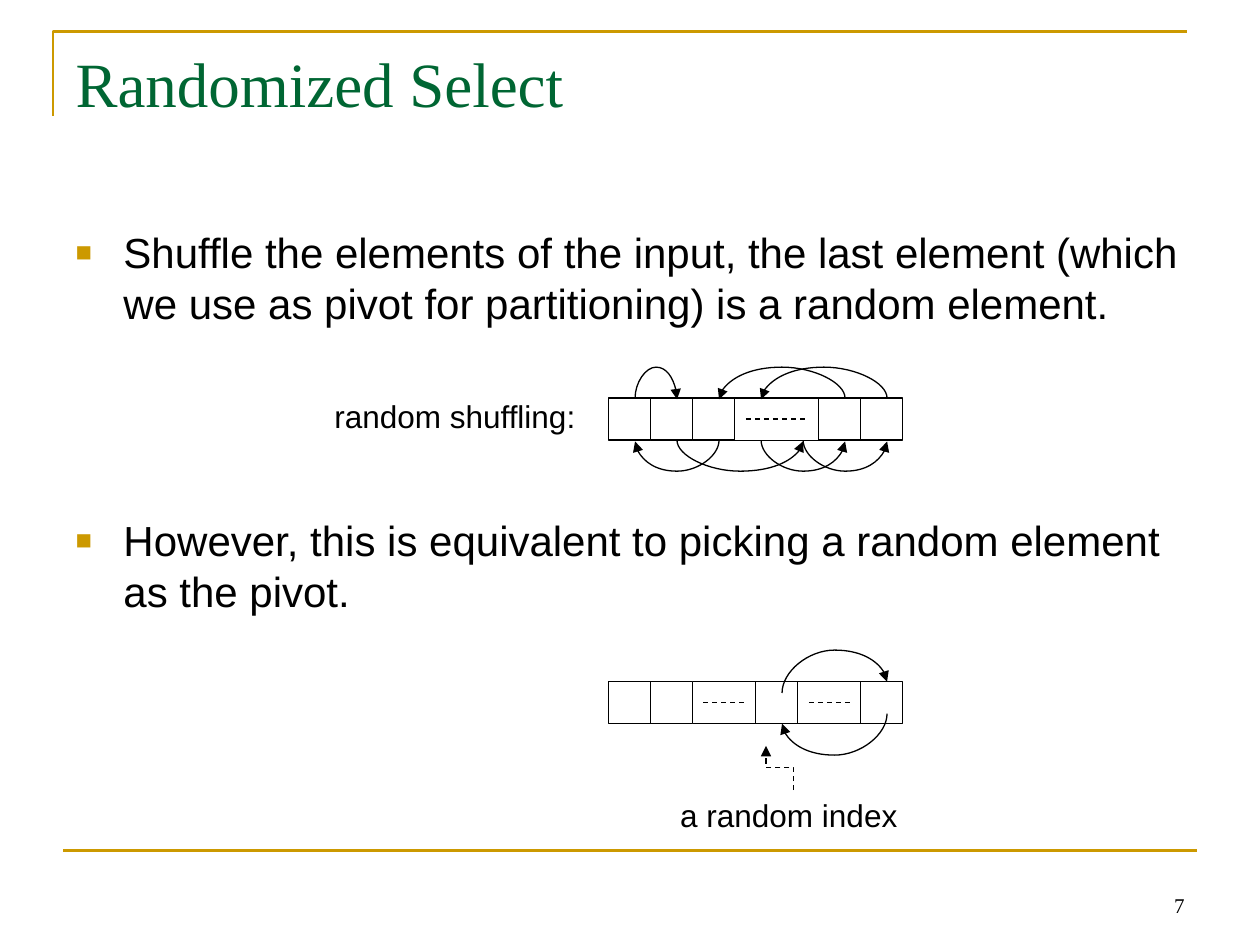
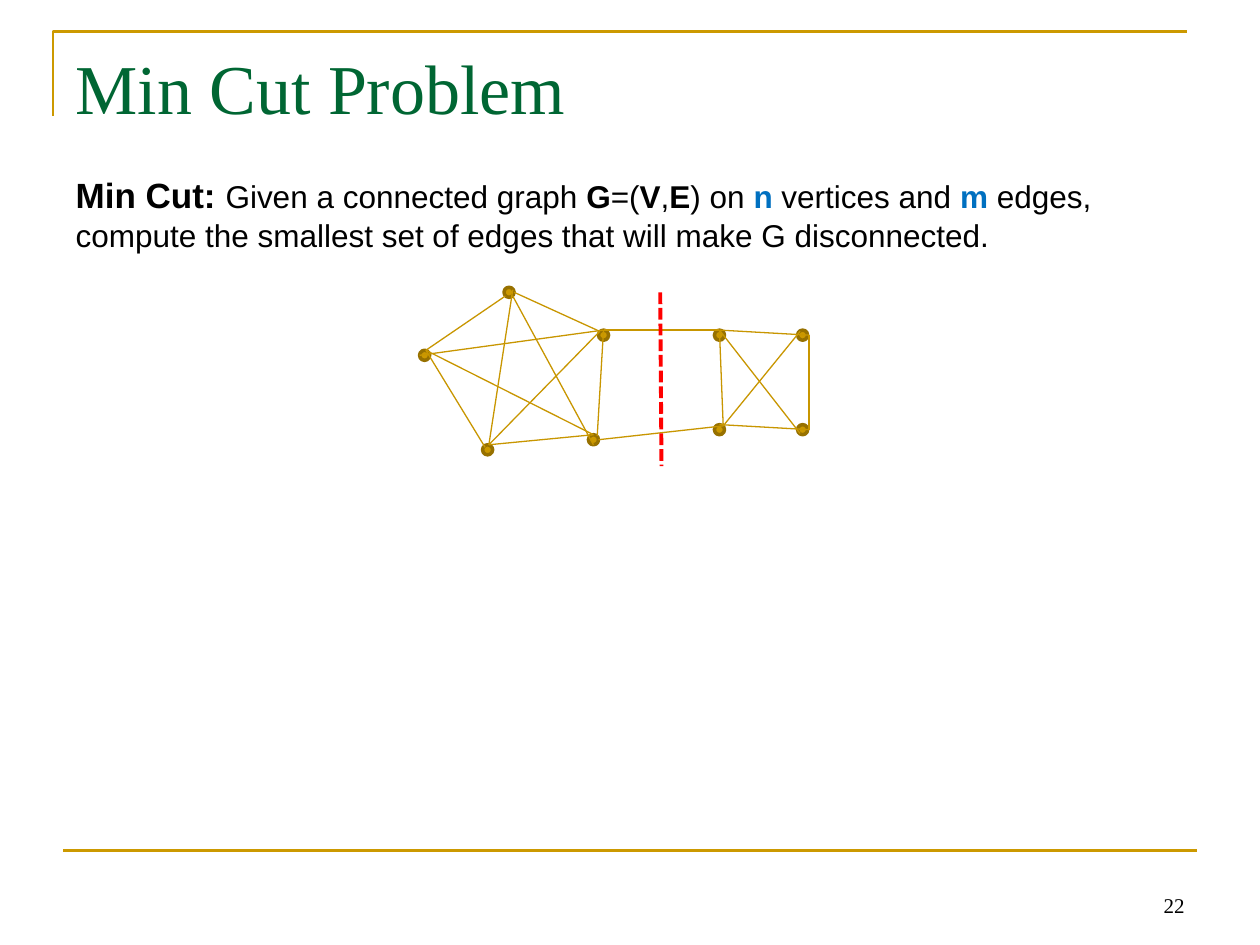
from pptx import Presentation
from pptx.dml.color import RGBColor
from pptx.enum.dml import MSO_LINE
from pptx.enum.shapes import MSO_CONNECTOR, MSO_SHAPE
from pptx.enum.text import MSO_ANCHOR, MSO_AUTO_SIZE, PP_ALIGN
from pptx.oxml.ns import qn
from pptx.oxml.xmlchemy import OxmlElement
from pptx.util import Inches, Pt

COLORS = {
    "gold": "CC9900",
    "green": "006633",
    "black": "000000",
    "blue": "0070C0",
    "edge": "C89600",
    "vertex_rim": "977100",
    "cut": "FF0000",
}
SANS, SERIF = "Arial", "Times New Roman"

CELL = 1 / 3
ARRAY_LEFT = 4.83
ARROW_INSET = 0.21
ARC_DEPTH = 0.25
VERTEX_SIZE = 0.08

VERTICES = [
    (4, 2.28), (3.33, 2.78), (3.83, 3.53), (4.67, 3.45), (4.75, 2.62),
    (5.67, 2.62), (5.67, 3.37), (6.33, 3.37), (6.33, 2.62),
]
PENTAGON_EDGES = [
    ((4.01, 2.35), (3.38, 2.78)), ((4.79, 2.62), (4.74, 3.46)),
    ((3.88, 3.53), (4.07, 2.3)), ((4.08, 2.32), (4.76, 2.63)),
    ((3.38, 2.78), (3.85, 3.55)), ((3.88, 3.53), (4.71, 3.45)),
    ((4.07, 2.35), (4.71, 3.53)), ((4.76, 2.63), (3.88, 3.53)),
    ((3.33, 2.82), (4.79, 2.62)), ((3.38, 2.78), (4.71, 3.45)),
]
SQUARE_EDGES = [
    ((5.71, 2.62), (6.42, 2.66)), ((6.42, 2.66), (6.42, 3.41)),
    ((5.71, 2.62), (5.74, 3.38)), ((5.71, 3.37), (6.42, 3.41)),
    ((5.74, 3.38), (6.35, 2.63)), ((5.71, 2.62), (6.35, 3.44)),
]
CUT_EDGES = [((4.79, 2.62), (5.71, 2.62)), ((4.75, 3.49), (5.74, 3.38))]


def color(name):
    return RGBColor.from_string(COLORS[name])


def add_child(parent, tag, **attributes):
    child = OxmlElement(tag)
    for name, value in attributes.items():
        child.set(name, str(value))
    parent.append(child)
    return child


def style_line(shape, line_color, width, dash=None):
    shape.line.color.rgb = color(line_color)
    shape.line.width = Pt(width)
    if dash:
        shape.line.dash_style = dash


def add_line(slide, start, end, line_color="black", width=0.75, dash=None,
             kind=MSO_CONNECTOR.STRAIGHT):
    points = [Inches(value) for value in (*start, *end)]
    connector = slide.shapes.add_connector(kind, *points)
    style_line(connector, line_color, width, dash)
    add_child(connector._element.spPr, "a:effectLst")
    return connector


def add_routed_arrow(slide, start, end, turn_y, kind=MSO_CONNECTOR.CURVE, dash=None):
    """Arrow that leaves vertically, crosses over at height turn_y and arrives vertically."""
    (x1, y1), (x2, y2) = start, end
    middle_x, middle_y = (x1 + x2) / 2, (y1 + y2) / 2
    # The preset runs sideways, so its box is laid out turned by a quarter.
    half_width, half_height = abs(y2 - y1) / 2, abs(x2 - x1) / 2
    arrow = add_line(
        slide,
        (middle_x - half_width, middle_y - half_height),
        (middle_x + half_width, middle_y + half_height),
        dash=dash, kind=kind,
    )
    properties = arrow._element.spPr
    rightward, downward = x2 > x1, y2 > y1
    frame = properties.find(qn("a:xfrm"))
    frame.set("rot", str((270 if rightward else 90) * 60000))
    if rightward == downward:
        frame.set("flipH", "1")
    guides = properties.find(qn("a:prstGeom")).get_or_add_avLst()
    turn = round((turn_y - y1) / (y2 - y1) * 100000)
    add_child(guides, "a:gd", name="adj1", fmla=f"val {turn}")
    add_child(arrow.line._get_or_add_ln(), "a:tailEnd", type="triangle")


def add_shape(slide, preset, left, top, size, line_color, width, fill=None):
    shape = slide.shapes.add_shape(
        preset, Inches(left), Inches(top), Inches(size), Inches(size))
    shape.shadow.inherit = False
    if fill:
        shape.fill.solid()
        shape.fill.fore_color.rgb = color(fill)
    else:
        shape.fill.background()
    style_line(shape, line_color, width)


def add_run(paragraph, text, size, font=SANS, text_color="black", bold=False):
    run = paragraph.add_run()
    run.text = text
    run.font.size = Pt(size)
    run.font.name = font
    run.font.bold = bold
    run.font.color.rgb = color(text_color)


def add_text(slide, box, text, size, font=SANS, align=PP_ALIGN.CENTER,
             anchor=MSO_ANCHOR.TOP, wrap=False):
    frame = slide.shapes.add_textbox(*map(Inches, box)).text_frame
    frame.word_wrap = wrap
    frame.vertical_anchor = anchor
    frame.paragraphs[0].alignment = align
    add_run(frame.paragraphs[0], text, size, font)


def place(placeholder, left, top, width, height):
    placeholder.left, placeholder.top = Inches(left), Inches(top)
    placeholder.width, placeholder.height = Inches(width), Inches(height)
    frame = placeholder.text_frame
    frame.vertical_anchor = MSO_ANCHOR.TOP
    frame.auto_size = MSO_AUTO_SIZE.NONE
    return frame


def format_list_paragraph(paragraph, indent, bullet=None):
    properties = paragraph._p.get_or_add_pPr()
    properties.set("marL", str(Inches(indent)))
    properties.set("indent", str(-Inches(indent)))
    if bullet:
        bullet_color = add_child(properties, "a:buClr")
        add_child(bullet_color, "a:srgbClr", val=COLORS["gold"])
        add_child(properties, "a:buSzPct", val=65000)
        add_child(properties, "a:buFont", typeface=SANS)
        add_child(properties, "a:buChar", char=bullet)
    else:
        add_child(properties, "a:buNone")


def add_framed_slide(presentation, title, title_size, number):
    """Slide with the corner rule, footer rule, title and page number."""
    slide = presentation.slides.add_slide(presentation.slide_layouts[1])
    builder = slide.shapes.build_freeform(Inches(0.42), Inches(0.92))
    builder.add_line_segments(
        [(Inches(0.42), Inches(0.25)), (Inches(9.42), Inches(0.25))], close=False)
    corner = builder.convert_to_shape()
    corner.shadow.inherit = False
    corner.fill.background()
    style_line(corner, "gold", 1.5)
    add_line(slide, (0.5, 6.75), (9.5, 6.75), "gold", 1.5)

    paragraph = place(slide.shapes.title, 0.5, 0.3, 9, 1.25).paragraphs[0]
    paragraph.alignment = PP_ALIGN.LEFT
    add_run(paragraph, title, title_size, SERIF, "green")
    add_text(slide, (7.17, 6.83, 2.33, 0.5), number, 12, SERIF,
             PP_ALIGN.RIGHT, MSO_ANCHOR.BOTTOM, wrap=True)
    return slide


def add_array(slide, top, cells, gaps):
    """Row of cells at the given indexes, with dashes for the elided stretches."""
    for index in cells:
        add_shape(slide, MSO_SHAPE.RECTANGLE, ARRAY_LEFT + index * CELL, top, CELL,
                  "black", 0.75)
    for y in (top, top + CELL):
        add_line(slide, (5.5, y), (7, y))
    for left, right in gaps:
        y = top + CELL / 2
        add_line(slide, (left, y), (right, y), dash=MSO_LINE.DASH)


def arrow_x(index):
    return ARRAY_LEFT + ARROW_INSET + index * CELL


def add_shuffle_arrows(slide, top):
    bottom = top + CELL
    for source, target in [(0, 1), (5, 2), (6, 3)]:
        add_routed_arrow(slide, (arrow_x(source), top),
                         (arrow_x(target), top + 0.01), top - ARC_DEPTH)
    for source, target in [(1, 4), (2, 0), (3, 5), (4, 6)]:
        add_routed_arrow(slide, (arrow_x(source), bottom),
                         (arrow_x(target), bottom + 0.01), bottom + ARC_DEPTH)


def add_swap_arrows(slide, top, pivot, last):
    bottom = top + CELL
    add_routed_arrow(slide, (arrow_x(pivot), top + 0.09),
                     (arrow_x(last), top), top - ARC_DEPTH)
    add_routed_arrow(slide, (arrow_x(last), bottom - 0.08),
                     (arrow_x(pivot), bottom), bottom + ARC_DEPTH)


def build_randomized_select(presentation):
    slide = add_framed_slide(presentation, "Randomized Select", 36, "7")
    frame = place(slide.placeholders[1], 0.5, 1.75, 9, 4.95)
    shuffle, pivot = frame.paragraphs[0], frame.add_paragraph()
    pivot.space_before = Pt(107)
    for paragraph, text in [
        (shuffle, "Shuffle the elements of the input, the last element (which we use "
                  "as pivot for partitioning) is a random element."),
        (pivot, "However, this is equivalent to picking a random element as the pivot."),
    ]:
        format_list_paragraph(paragraph, 0.38, "■")
        add_run(paragraph, text, 24)

    add_array(slide, 3.16, [0, 1, 2, 5, 6], [(5.92, 6.42)])
    add_shuffle_arrows(slide, 3.16)
    add_text(slide, (2.55, 3.1, 2.12, 0.4), "random shuffling:", 18)

    add_array(slide, 5.41, [0, 1, 3.5, 6], [(5.58, 5.92), (6.42, 6.75)])
    add_swap_arrows(slide, 5.41, 3.5, 6)
    add_text(slide, (5.3, 6.27, 1.92, 0.4), "a random index", 18)
    add_routed_arrow(slide, (6.3, 6.27), (6.08, 5.92), 6.09,
                     MSO_CONNECTOR.ELBOW, MSO_LINE.DASH)


def build_min_cut(presentation):
    slide = add_framed_slide(presentation, "Min Cut Problem", 40, "22")
    paragraph = place(slide.placeholders[1], 0.5, 1.33, 9, 4.95).paragraphs[0]
    format_list_paragraph(paragraph, 0)
    add_run(paragraph, "Min Cut: ", 20, bold=True)
    for text, text_color, bold in [
        ("Given a connected graph ", "black", False),
        ("G", "black", True),
        ("=(", "black", False),
        ("V", "black", True),
        (",", "black", False),
        ("E", "black", True),
        (") on ", "black", False),
        ("n", "blue", True),
        (" vertices and ", "black", False),
        ("m", "blue", True),
        (" edges, compute the smallest set of edges that will make G disconnected.",
         "black", False),
    ]:
        add_run(paragraph, text, 18, text_color=text_color, bold=bold)

    for left, top in VERTICES:
        add_shape(slide, MSO_SHAPE.OVAL, left, top, VERTEX_SIZE, "vertex_rim", 2, "gold")
    for start, end in PENTAGON_EDGES + SQUARE_EDGES + CUT_EDGES:
        add_line(slide, start, end, "edge")
    add_line(slide, (5.24, 2.32), (5.25, 3.7), "cut", 2.25, MSO_LINE.SQUARE_DOT)


def main():
    presentation = Presentation()
    presentation.slide_width, presentation.slide_height = Inches(10), Inches(7.5)
    build_randomized_select(presentation)
    build_min_cut(presentation)
    presentation.save("out.pptx")


if __name__ == "__main__":
    main()
